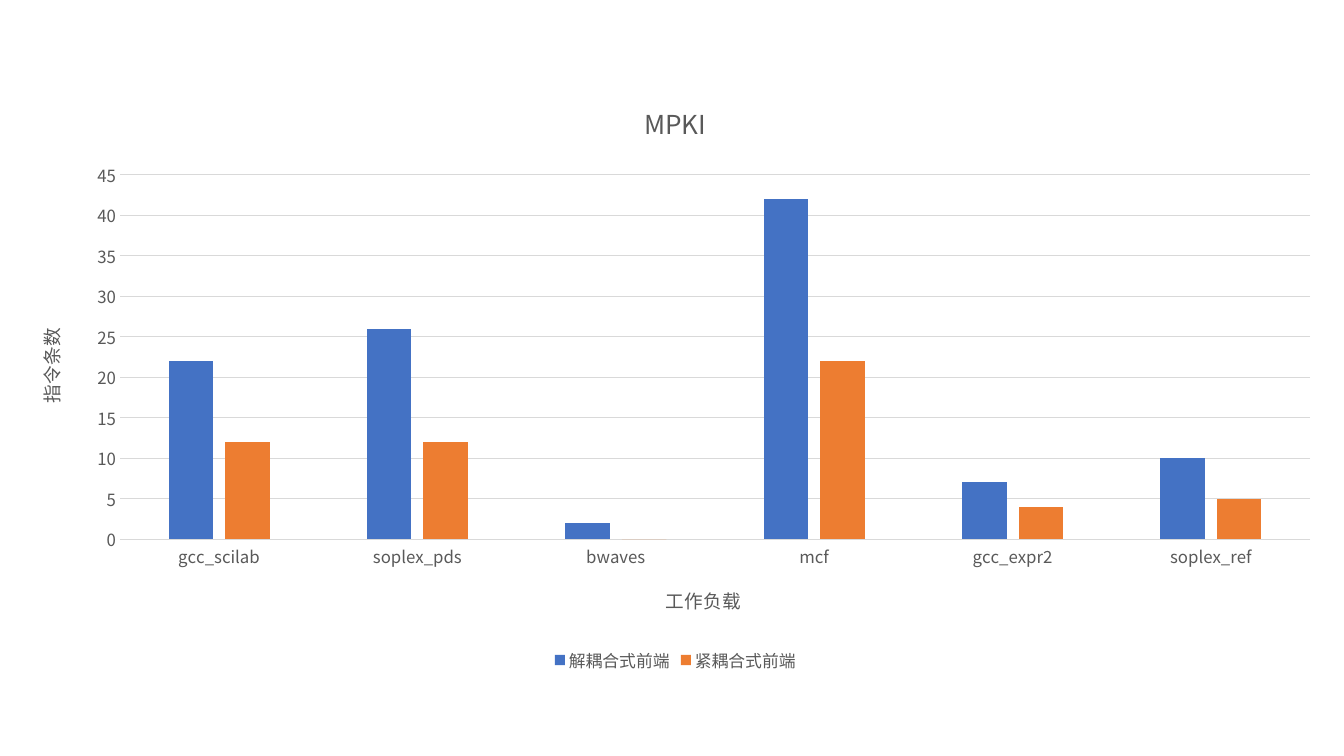
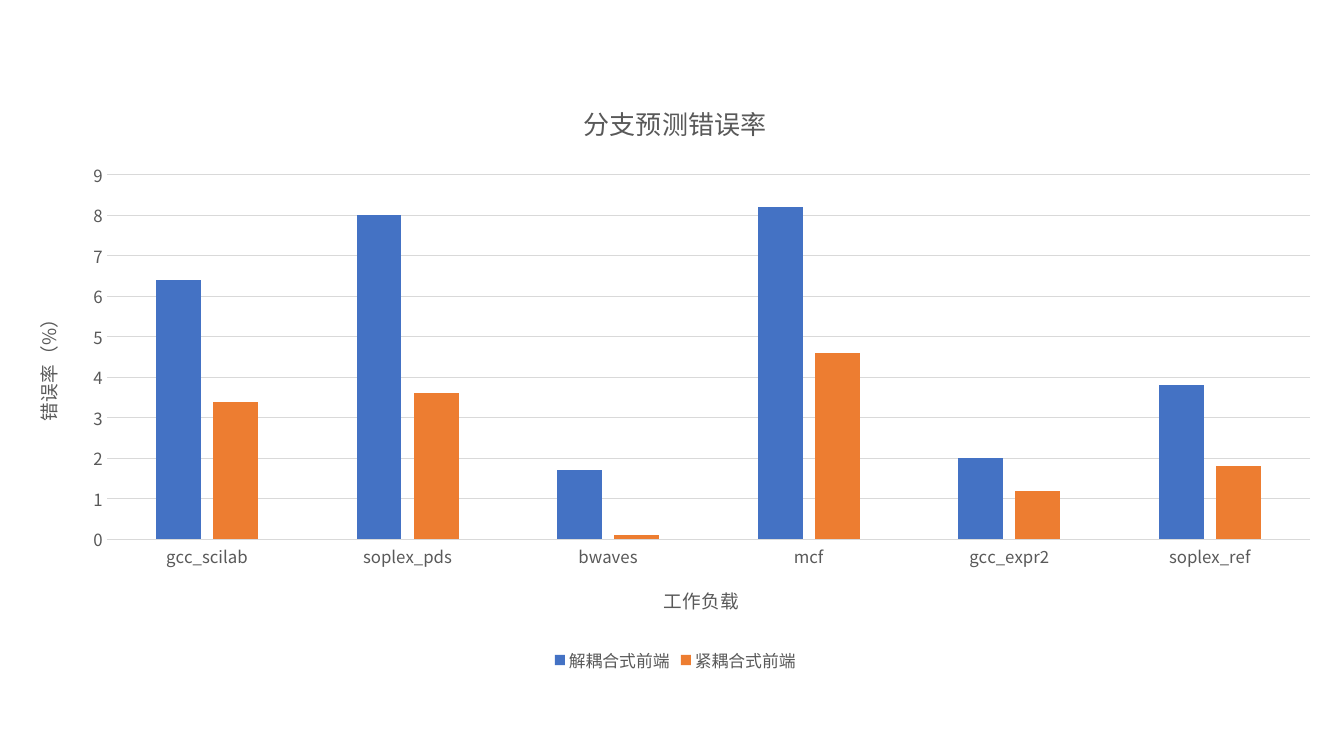
from lxml.etree import SubElement, Element
from pptx import Presentation
from pptx.chart.data import CategoryChartData
from pptx.dml.color import RGBColor
from pptx.enum.chart import XL_CHART_TYPE as ChartType
from pptx.enum.chart import XL_LEGEND_POSITION as LegendPosition
from pptx.enum.chart import XL_TICK_MARK as TickMark
from pptx.oxml.ns import qn
from pptx.util import Inches, Pt

# Shared style
FONT = "Noto Sans CJK SC"
TEXT_GREY = RGBColor(0x59, 0x59, 0x59)
LINE_GREY = RGBColor(0xD9, 0xD9, 0xD9)
BLUE = RGBColor(0x44, 0x72, 0xC4)
ORANGE = RGBColor(0xED, 0x7D, 0x31)
TITLE_SIZE, AXIS_TITLE_SIZE, LABEL_SIZE = 18.6, 13.3, 12
BLANK_LAYOUT = 6

# Chart area as shares of the slide: left, top, width, height
CHART_AREA = (0.0105, 0.105, 0.984, 0.79)
# Plot area as shares of the chart; its left edge depends on the labels
PLOT_TOP, PLOT_RIGHT, PLOT_HEIGHT = 0.16, 0.98, 0.61

WORKLOADS = ["gcc_scilab", "soplex_pds", "bwaves", "mcf", "gcc_expr2", "soplex_ref"]
FRONT_ENDS = {"解耦合式前端": BLUE, "紧耦合式前端": ORANGE}


def format_font(font, size=LABEL_SIZE, color=TEXT_GREY, bold=False):
    font.name, font.size, font.bold = FONT, Pt(size), bold
    font.color.rgb = color


def write(frame, text, **style):
    """Put one formatted line of text into a text frame."""
    span = frame.paragraphs[0].add_run()
    span.text = text
    format_font(span.font, **style)


class SlideBuilder:
    def __init__(self, deck):
        self.deck = deck
        self.page = None

    def new_page(self):
        self.page = self.deck.slides.add_slide(self.deck.slide_layouts[BLANK_LAYOUT])

    def area(self, left, top, width, height):
        wide, high = self.deck.slide_width, self.deck.slide_height
        return int(left * wide), int(top * high), int(width * wide), int(height * high)

    def column_chart(self, title, value_title, top_value, step, rows, plot_left):
        data = CategoryChartData(number_format="General")
        data.categories = WORKLOADS
        for name, values in zip(FRONT_ENDS, rows):
            data.add_series(name, values)
        chart = self.page.shapes.add_chart(
            ChartType.COLUMN_CLUSTERED, *self.area(*CHART_AREA), data).chart
        format_font(chart.font)

        # Title and legend
        chart.has_title = True
        write(chart.chart_title.text_frame, title, size=TITLE_SIZE)
        chart.chart_title.include_in_layout = False
        chart.has_legend = True
        chart.legend.position = LegendPosition.BOTTOM
        chart.legend.include_in_layout = False
        format_font(chart.legend.font)

        # Columns
        plot = chart.plots[0]
        plot.gap_width, plot.overlap = 219, -27
        plot.vary_by_categories = False
        for series, color in zip(plot.series, FRONT_ENDS.values()):
            series.format.fill.solid()
            series.format.fill.fore_color.rgb = color
            series.invert_if_negative = False

        # Axes
        self.axis(chart.category_axis, "工作负载")
        self.grey_line(chart.category_axis.format.line)
        values = chart.value_axis
        self.axis(values, value_title)
        values.format.line.fill.background()
        values.minimum_scale, values.maximum_scale = 0, top_value
        values.major_unit = step
        values.has_major_gridlines = True
        self.grey_line(values.major_gridlines.format.line)

        self.place_plot(chart, plot_left)
        self.east_asian_font(chart)

    def axis(self, axis, title):
        axis.has_title = True
        write(axis.axis_title.text_frame, title, size=AXIS_TITLE_SIZE)
        axis.major_tick_mark = axis.minor_tick_mark = TickMark.NONE
        format_font(axis.tick_labels.font)

    def grey_line(self, line):
        line.color.rgb = LINE_GREY
        line.width = Pt(0.75)

    def place_plot(self, chart, left):
        plot_area = chart.element.find(".//" + qn("c:plotArea"))
        for old in plot_area.findall(qn("c:layout")):
            plot_area.remove(old)
        layout = Element(qn("c:layout"))
        plot_area.insert(0, layout)
        manual = SubElement(layout, qn("c:manualLayout"))
        settings = {"layoutTarget": "inner", "xMode": "edge", "yMode": "edge",
                    "x": left, "y": PLOT_TOP,
                    "w": round(PLOT_RIGHT - left, 3), "h": PLOT_HEIGHT}
        for tag, value in settings.items():
            SubElement(manual, qn("c:" + tag)).set("val", str(value))

    def east_asian_font(self, chart):
        for latin in list(chart.element.iter(qn("a:latin"))):
            east_asian = Element(qn("a:ea"))
            east_asian.set("typeface", FONT)
            latin.addnext(east_asian)


deck = Presentation()
deck.slide_width, deck.slide_height = Inches(13.33), Inches(7.5)
builder = SlideBuilder(deck)

# Slide 1: mispredictions per thousand instructions
builder.new_page()
builder.column_chart(
    "MPKI", "指令条数", top_value=45, step=5, plot_left=0.08,
    rows=[(22, 26, 2, 42, 7, 10), (12, 12, 0, 22, 4, 5)])

# Slide 2: branch misprediction rate
builder.new_page()
builder.column_chart(
    "分支预测错误率", "错误率（%）", top_value=9, step=1, plot_left=0.07,
    rows=[(6.4, 8, 1.7, 8.2, 2, 3.8), (3.4, 3.6, 0.1, 4.6, 1.2, 1.8)])

deck.save("out.pptx")
